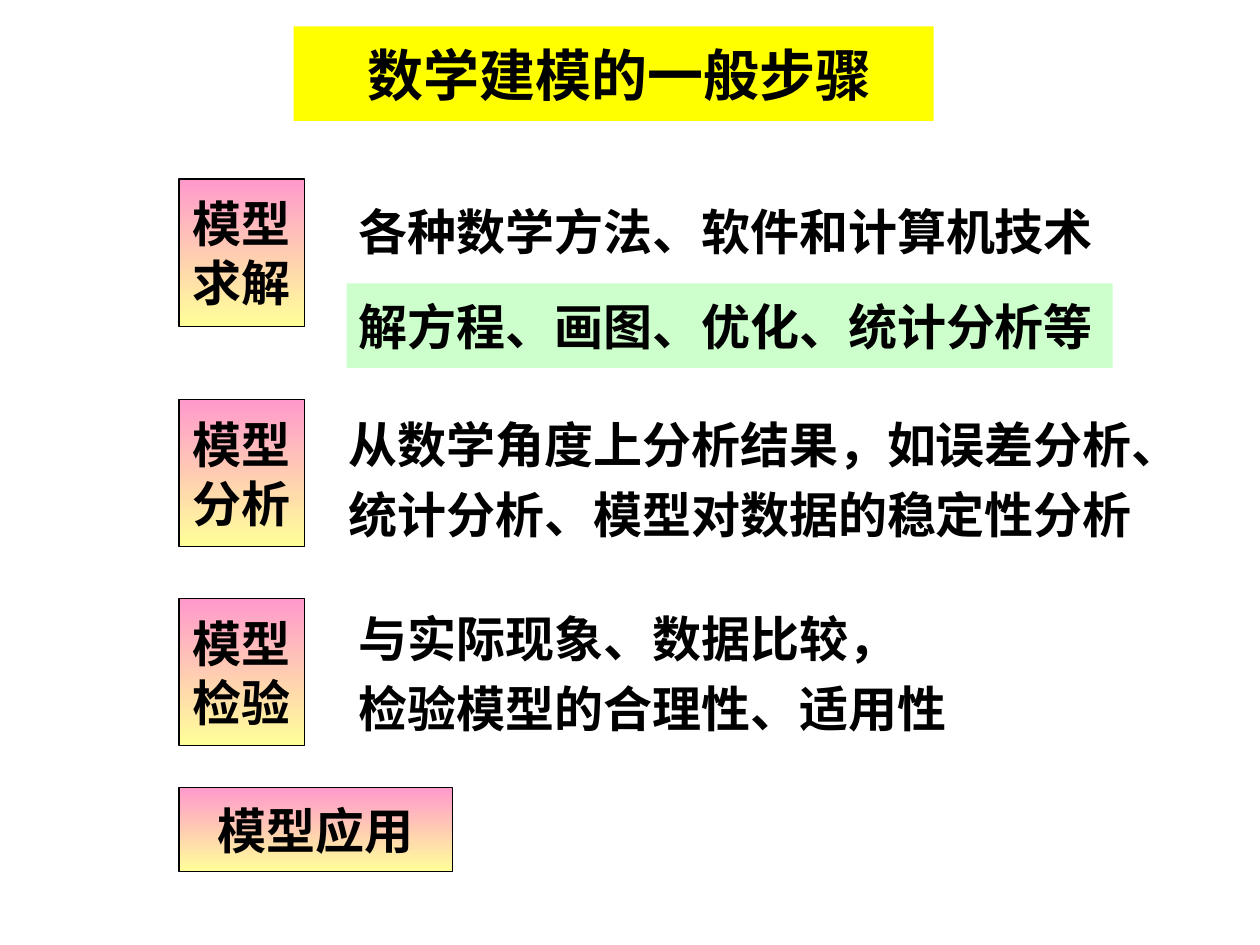
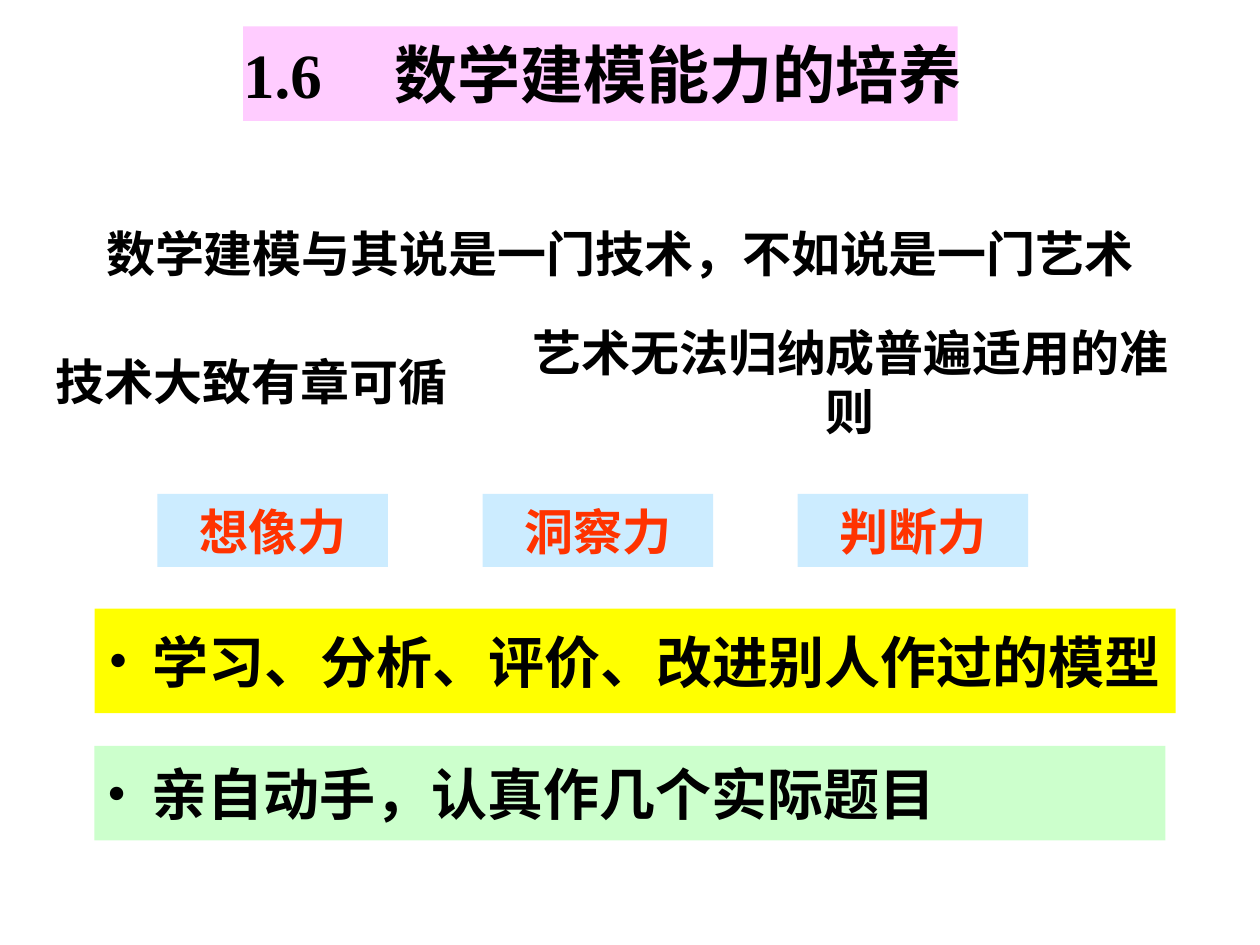
import pptx
import pptx.util
import pptx.dml.color
import pptx.enum.shapes
import pptx.enum.text
import pptx.oxml.ns
from lxml import etree

Inches = pptx.util.Inches
Pt = pptx.util.Pt
RGBColor = pptx.dml.color.RGBColor
ALIGN = pptx.enum.text.PP_ALIGN
RECT = pptx.enum.shapes.MSO_SHAPE.RECTANGLE
qn = pptx.oxml.ns.qn

# Colours
BLACK = RGBColor(0x00, 0x00, 0x00)
RED = RGBColor(0xFF, 0x33, 0x00)
YELLOW = RGBColor(0xFF, 0xFF, 0x00)
GREEN = RGBColor(0xCC, 0xFF, 0xCC)
LILAC = RGBColor(0xFF, 0xCC, 0xFF)
BLUE = RGBColor(0xCC, 0xEC, 0xFF)
PINK = RGBColor(0xFF, 0x99, 0xCC)
CREAM = RGBColor(0xFF, 0xFF, 0x99)

# Fonts and shared measures
SERIF = "Times New Roman"
SANS = "Noto Sans CJK SC"
BODY, LARGE, HEAD = 28, 32, 36
TOP, TALL = 0.21, 0.75
LABEL = 1.42
INDENT = 0.25


def add_run(para, text, size, font=SERIF, color=BLACK):
    run = para.add_run()
    run.text = text
    run.font.size = Pt(size)
    run.font.bold = True
    run.font.name = font
    run.font.color.rgb = color
    props = run.font._element
    east = etree.Element(qn("a:ea"), typeface=SANS)
    props.find(qn("a:latin")).addnext(east)


def fill_text(shape, lines, size=BODY, font=SERIF, color=BLACK,
              align=ALIGN.LEFT, space=1.0):
    frame = shape.text_frame
    frame.word_wrap = False
    frame.vertical_anchor = pptx.enum.text.MSO_ANCHOR.MIDDLE
    for num, line in enumerate(lines):
        para = frame.add_paragraph() if num else frame.paragraphs[0]
        para.alignment = align
        para.line_spacing = space
        add_run(para, line, size, font, color)


def add_text(slide, box, lines, **style):
    shape = slide.shapes.add_textbox(*map(Inches, box))
    fill_text(shape, lines, **style)


def add_rect(slide, box):
    shape = slide.shapes.add_shape(RECT, *map(Inches, box))
    shape.shadow.inherit = False
    return shape


def add_band(slide, box, color):
    band = add_rect(slide, box)
    band.fill.solid()
    band.fill.fore_color.rgb = color
    band.line.fill.background()
    return band


def add_label(slide, box, lines):
    label = add_rect(slide, box)
    label.fill.gradient()
    label.fill.gradient_angle = 270
    stops = label.fill.gradient_stops
    for stop, place, color in zip(stops, (0, 1), (PINK, CREAM)):
        stop.position = place
        stop.color.rgb = color
    label.line.color.rgb = BLACK
    label.line.width = Pt(0.75)
    fill_text(label, lines, align=ALIGN.CENTER)


def add_bullet(slide, box, color, text, align):
    band = add_band(slide, box, color)
    props = band.text_frame.paragraphs[0]._p.get_or_add_pPr()
    props.set("marL", str(Inches(INDENT)))
    props.set("indent", str(-Inches(INDENT)))
    tint = etree.SubElement(props, qn("a:buClr"))
    etree.SubElement(tint, qn("a:srgbClr"), val=str(BLACK))
    etree.SubElement(props, qn("a:buFont"), typeface=SERIF)
    etree.SubElement(props, qn("a:buChar"), char="•")
    fill_text(band, [text], size=LARGE, font=SANS, align=align)


def add_steps(slide):
    # Title
    title = add_band(slide, (2.33, TOP, 5.08, TALL), YELLOW)
    fill_text(title, [" 数学建模的一般步骤"], size=LARGE, font=SANS,
              align=ALIGN.CENTER)

    # Step labels
    for top, word in ((1.42, "求解"), (3.17, "分析"), (4.75, "检验")):
        add_label(slide, (LABEL, top, 1, 1.17), ["模型", word])
    add_label(slide, (LABEL, 6.25, 2.17, 0.67), ["模型应用"])

    # What each step does
    add_text(slide, (2.75, 1.5, 6.08, 0.67),
             ["各种数学方法、软件和计算机技术"])
    tools = add_band(slide, (2.75, 2.25, 6.08, 0.67), GREEN)
    fill_text(tools, ["解方程、画图、优化、统计分析等"])
    add_text(slide, (2.67, 3.17, 6.92, 1.17),
             ["从数学角度上分析结果，如误差分析、",
              "统计分析、模型对数据的稳定性分析"], space=1.2)
    add_text(slide, (2.75, 4.67, 5.92, 1.25),
             ["与实际现象、数据比较，", "检验模型的合理性、适用性"], space=1.2)


def add_skills(slide):
    # Title: number, tab, name
    title = add_band(slide, (1.93, TOP, 5.67, TALL), LILAC)
    frame = title.text_frame
    frame.word_wrap = False
    frame.margin_left = frame.margin_right = 0
    para = frame.paragraphs[0]
    para.alignment = ALIGN.LEFT
    tabs = etree.SubElement(para._p.get_or_add_pPr(), qn("a:tabLst"))
    etree.SubElement(tabs, qn("a:tab"), pos=str(Inches(1.2)), algn="l")
    add_run(para, "1.6\t", HEAD)
    add_run(para, "数学建模能力的培养", HEAD, SANS)

    # Craft against art
    for box, text in (
            ((0.67, 1.63, 8.5, TALL),
             "数学建模与其说是一门技术，不如说是一门艺术"),
            ((0.33, 2.65, 3.33, TALL), "技术大致有章可循"),
            ((4, 2.65, 5.5, TALL), "艺术无法归纳成普遍适用的准则")):
        add_text(slide, box, [text], align=ALIGN.CENTER)

    # Three powers
    for left, text in ((1.25, "想像力"), (3.83, "洞察力"), (6.33, "判断力")):
        power = add_band(slide, (left, 3.92, 1.83, 0.58), BLUE)
        fill_text(power, [text], color=RED, align=ALIGN.CENTER)

    # Advice
    add_bullet(slide, (0.75, 4.83, 8.58, 0.83), YELLOW,
               " 学习、分析、评价、改进别人作过的模型", ALIGN.CENTER)
    add_bullet(slide, (0.75, 5.92, 8.5, TALL), GREEN,
               " 亲自动手，认真作几个实际题目", ALIGN.LEFT)


def main():
    deck = pptx.Presentation()
    deck.slide_width = Inches(10)
    deck.slide_height = Inches(7.5)
    blank = deck.slide_layouts[6]
    for build in (add_steps, add_skills):
        build(deck.slides.add_slide(blank))
    deck.save("out.pptx")


if __name__ == "__main__":
    main()
